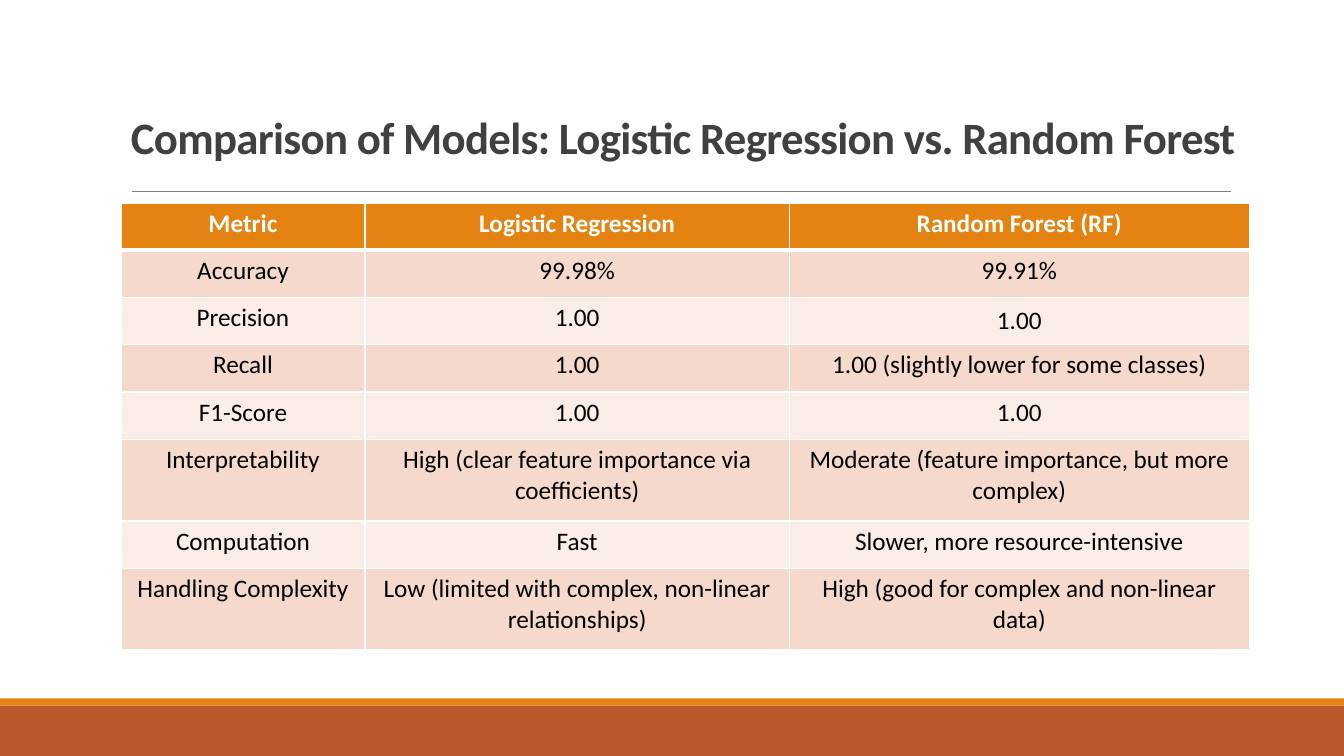
from lxml import etree
from pptx import Presentation
from pptx.dml.color import RGBColor
from pptx.enum.shapes import MSO_CONNECTOR, MSO_SHAPE
from pptx.enum.text import MSO_ANCHOR, PP_ALIGN
from pptx.oxml.ns import qn
from pptx.util import Inches, Pt

RECT = MSO_SHAPE.RECTANGLE
LINE = MSO_CONNECTOR.STRAIGHT
TOP, MIDDLE, BOTTOM = MSO_ANCHOR.TOP, MSO_ANCHOR.MIDDLE, MSO_ANCHOR.BOTTOM
CENTER = PP_ALIGN.CENTER
FONT = "Calibri"
WIDE, HIGH = 13.33, 7.5
LEFT = 1.2

COLS = [2.42, 4.21, 4.56]
ROWS = [0.46] + [0.47] * 4 + [0.81, 0.47, 0.81]
DATA = [
    ("Metric", "Logistic Regression", "Random Forest (RF)"),
    ("Accuracy", "99.98%", "99.91%"),
    ("Precision", "1.00", "1.00"),
    ("Recall", "1.00", "1.00 (slightly lower for some classes)"),
    ("F1-Score", "1.00", "1.00"),
    ("Interpretability", "High (clear feature importance via coefficients)",
     "Moderate (feature importance, but more complex)"),
    ("Computation", "Fast", "Slower, more resource-intensive"),
    ("Handling Complexity", "Low (limited with complex, non-linear relationships)",
     "High (good for complex and non-linear data)"),
]


def tint(code):
    return RGBColor.from_string(code)


def paint(fill, code):
    fill.solid()
    fill.fore_color.rgb = tint(code)


def write(para, text, size, code, bold):
    run = para.add_run()
    run.text = text
    font = run.font
    font.name, font.size, font.bold = FONT, Pt(size), bold
    font.color.rgb = tint(code)
    return run


def band(slide, box, code):
    shape = slide.shapes.add_shape(RECT, *map(Inches, box))
    shape.shadow.inherit = False
    paint(shape.fill, code)
    shape.line.fill.background()


def footer(slide, top, edge):
    band(slide, (0, top, WIDE, HIGH - top), "BD582C")
    band(slide, (0, top - edge, WIDE, edge), "E48312")


def header(slide, box, text):
    left, top, width, height = box
    frame = slide.shapes.add_textbox(*map(Inches, box)).text_frame
    frame.word_wrap = True
    frame.vertical_anchor = BOTTOM
    para = frame.paragraphs[0]
    para.line_spacing = 0.85
    run = write(para, text, 32, "404040", True)
    run.font._element.set("spc", "-50")
    level = Inches(top + height + 0.23)
    start = Inches(left + 0.11)
    rule = slide.shapes.add_connector(LINE, start, level, start + Inches(10.9), level)
    rule.line.color.rgb = tint("808080")
    rule.line.width = Pt(0.5)
    etree.SubElement(rule._element.spPr, qn("a:effectLst"))


def border(cell, sides):
    props = cell._tc.get_or_add_tcPr()
    for spot, (side, width) in enumerate(sides.items()):
        line = etree.Element(qn("a:ln" + side), w=str(Pt(width)))
        fill = etree.SubElement(line, qn("a:solidFill"))
        etree.SubElement(fill, qn("a:srgbClr"), val="FFFFFF")
        props.insert(spot, line)


def grid(slide, left, top):
    size = left, top, sum(COLS), sum(ROWS)
    table = slide.shapes.add_table(len(ROWS), len(COLS), *map(Inches, size)).table
    for col, width in zip(table.columns, COLS):
        col.width = Inches(width)
    for r, (row, height) in enumerate(zip(table.rows, ROWS)):
        row.height = Inches(height)
        head = r == 0
        fill = "E48312" if head else ("FAEDE7", "F5D9CC")[r % 2]
        sides = {"L": 1, "R": 1, "T": 3 if r == 1 else 1, "B": 3 if head else 1}
        for c, cell in enumerate(row.cells):
            paint(cell.fill, fill)
            border(cell, sides)
            cell.vertical_anchor = MIDDLE if (r, c) == (2, 2) else TOP
            para = cell.text_frame.paragraphs[0]
            para.alignment = CENTER
            write(para, DATA[r][c], 18, "FFFFFF" if head else "000000", head)


def main():
    deck = Presentation()
    deck.slide_width, deck.slide_height = Inches(WIDE), Inches(HIGH)
    slide = deck.slides.add_slide(deck.slide_layouts[6])
    paint(slide.background.fill, "FFFFFF")
    footer(slide, 7, 0.07)
    header(slide, (LEFT, 0.08, 11.54, 1.59),
           "Comparison of Models: Logistic Regression vs. Random Forest")
    grid(slide, LEFT, 2.02)
    deck.save("out.pptx")


if __name__ == "__main__":
    main()
